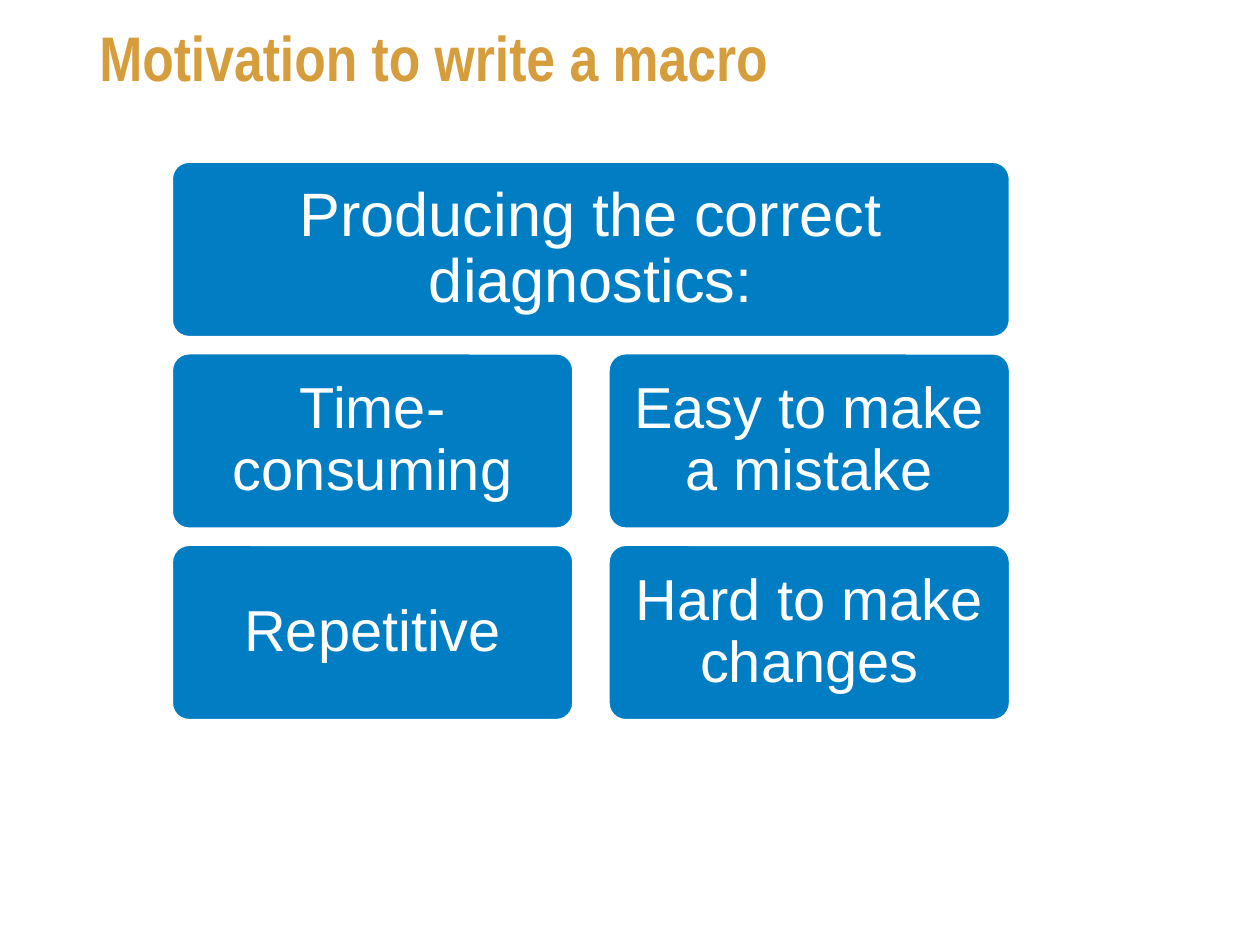
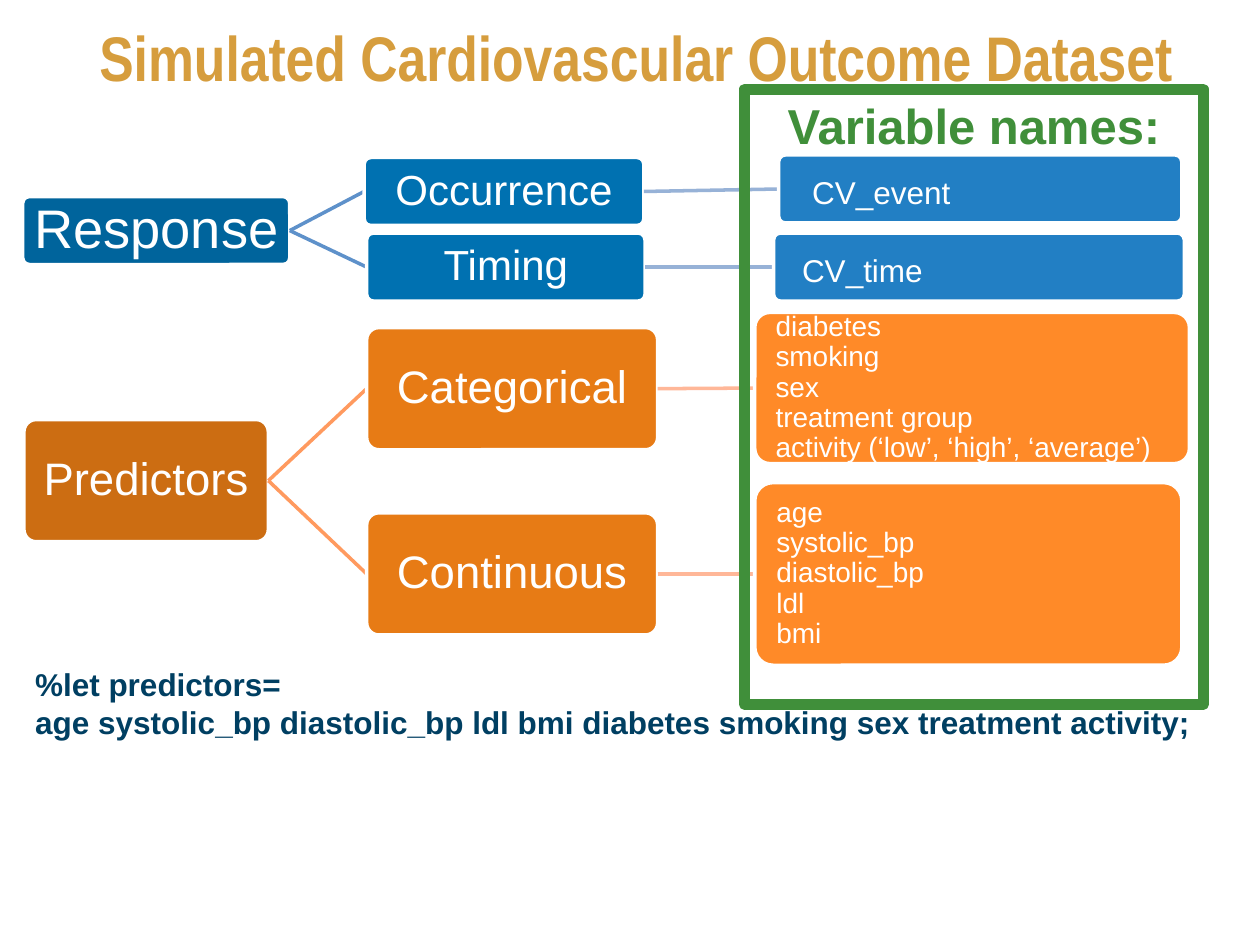
import pptx
import pptx.dml.color
import pptx.enum.shapes
import pptx.enum.text
import pptx.oxml.ns
import pptx.util
import lxml.etree

# Content: reasons as rows of a grid
HEADS = ["Motivation to write a macro", "Simulated Cardiovascular Outcome Dataset"]
ROWS = [
    ["Producing the correct diagnostics:"],
    ["Time-consuming", "Easy to make a mistake"],
    ["Repetitive", "Hard to make changes"],
]

# Content: trees of (level, place, lines, indent of left-aligned text, kids)
TREES = {
    "warm": ("root", (0.19, 3.33, 1.94, 0.97), ["Predictors"], None, [
        ("group", (2.91, 2.6, 2.31, 0.97), ["Categorical"], None, [
            ("list", (5.99, 2.48, 3.45, 1.2),
             ["diabetes", "smoking", "sex", "treatment group",
              "activity (‘low’, ‘high’, ‘average’)"], 0.13, [])]),
        ("group", (2.91, 4.07, 2.31, 0.97), ["Continuous"], None, [
            ("list", (5.99, 3.83, 3.39, 1.45),
             ["age", "systolic_bp", "diastolic_bp", "ldl", "bmi"], 0.13, [])]),
    ]),
    "cool": ("root", (0.18, 1.56, 2.12, 0.54), ["Response"], None, [
        ("group", (2.89, 1.25, 2.22, 0.54), ["Occurrence"], None, [
            ("list", (6.18, 1.23, 3.2, 0.54), ["CV_event"], 0.25, [])]),
        ("group", (2.91, 1.85, 2.21, 0.54), ["Timing"], None, [
            ("list", (6.14, 1.85, 3.26, 0.54), ["CV_time"], 0.21, [])]),
    ]),
}
LABEL = "Variable names:"
CODE = ["%let predictors=",
        "age systolic_bp diastolic_bp ldl bmi diabetes smoking sex treatment activity;"]

# Theme: level entries are (fill, type size, colour of the line to each kid)
THEME = {
    "font": "Arial", "white": "FFFFFF", "blue": "007DC3", "green": "408F3A",
    "head": {"font": "Arial Narrow", "size": 36, "color": "D69D3D", "bold": True},
    "code": {"size": 18, "color": "003F62", "bold": True},
    "label": {"size": 28, "color": "408F3A", "bold": True},
    "top": 35, "cell": 33, "line": 2, "frame": 6.5, "curve": 0.1,
    "warm": {"root": ("CC6D12", 26, "FF9A5F"), "group": ("E77B15", 26, "FFB798"),
             "list": ("FF8A28", 16, None)},
    "cool": {"root": ("00649C", 31, "5E91CA"), "group": ("0071B1", 24, "97B2D7"),
             "list": ("227FC4", 18, None)},
}

INCH = pptx.util.Inches
ALIGN = pptx.enum.text.PP_ALIGN
ANCHOR = pptx.enum.text.MSO_ANCHOR
SHAPE = pptx.enum.shapes.MSO_SHAPE


def tint(code):
    return pptx.dml.color.RGBColor.from_string(code)


def apply(part, vals):
    for name, val in vals.items():
        setattr(part, name, val)


def write(shape, lines, size, color, bold=False, font=THEME["font"], align=ALIGN.LEFT,
          anchor=ANCHOR.TOP, pad=(0.1, 0.05, 0.1, 0.05), lead=1.0):
    frame = shape.text_frame
    sides = ("margin_left", "margin_top", "margin_right", "margin_bottom")
    apply(frame, {"word_wrap": True, "vertical_anchor": anchor,
                  **{side: INCH(val) for side, val in zip(sides, pad)}})
    for i, line in enumerate(lines):
        para = frame.add_paragraph() if i else frame.paragraphs[0]
        apply(para, {"alignment": align, "line_spacing": lead})
        run = para.add_run()
        run.text = line
        apply(run.font, {"name": font, "size": pptx.util.Pt(size), "bold": bold})
        run.font.color.rgb = tint(color)


def text(slide, place, lines, **style):
    write(slide.shapes.add_textbox(*map(INCH, place)), lines, **style)


def block(slide, kind, place, fill, edge, width):
    shape = slide.shapes.add_shape(kind, *map(INCH, place))
    shape.shadow.inherit = False
    if fill:
        shape.fill.solid()
        shape.fill.fore_color.rgb = tint(fill)
    else:
        shape.fill.background()
    shape.line.color.rgb = tint(edge)
    shape.line.width = pptx.util.Pt(width)
    return shape


def card(slide, place, lines, fill, size, **style):
    shape = block(slide, SHAPE.ROUNDED_RECTANGLE, place, fill, THEME["white"], THEME["line"])
    shape.adjustments[0] = THEME["curve"]
    write(shape, lines, size, THEME["white"], anchor=ANCHOR.MIDDLE, lead=0.9, **style)


def link(slide, start, end, color):
    """Join the right middle of one card to the left middle of the next."""
    x, y, w, h = start
    ends = (x + w, y + h / 2, end[0], end[1] + end[3] / 2)
    line = slide.shapes.add_connector(pptx.enum.shapes.MSO_CONNECTOR.STRAIGHT,
                                      *map(INCH, ends))
    line.line.color.rgb = tint(color)
    line.line.width = pptx.util.Pt(THEME["line"])
    lxml.etree.SubElement(line._element.spPr, pptx.oxml.ns.qn("a:effectLst"))


def grow(slide, hue, node):
    level, place, lines, indent, kids = node
    fill, size, color = THEME[hue][level]
    if indent is None:
        style = {"align": ALIGN.CENTER, "pad": (0.03,) * 4}
    else:
        # A lone name sits slightly below the middle
        style = {"pad": (indent, 0.1 if len(lines) == 1 else 0.02, 0.02, 0.02)}
    card(slide, place, lines, fill, size, **style)
    for kid in kids:
        link(slide, place, kid[1], color)
        grow(slide, hue, kid)


def start(deck, head):
    slide = deck.slides.add_slide(deck.slide_layouts[6])
    text(slide, (0.69, 0.2, 8.97, 0.79), [head], lead=0.83, **THEME["head"])
    return slide


def reasons(deck):
    slide = start(deck, HEADS[0])
    left, top, full, high, gap, step = 1.36, 1.28, 6.66, 1.4, 0.27, 1.52
    for r, row in enumerate(ROWS):
        wide = (full - gap * (len(row) - 1)) / len(row)
        size = THEME["cell"] if r else THEME["top"]
        for c, name in enumerate(row):
            place = (left + c * (wide + gap), top + r * step, wide, high)
            card(slide, place, [name], THEME["blue"], size,
                 align=ALIGN.CENTER, pad=(0.1,) * 4)


def dataset(deck):
    slide = start(deck, HEADS[1])
    text(slide, (0.18, 5.23, 9.62, 1.04), CODE, **THEME["code"])
    for hue, tree in TREES.items():
        grow(slide, hue, tree)
    # Frame around the variable names
    frame = block(slide, SHAPE.RECTANGLE, (5.91, 0.71, 3.64, 4.88), None,
                  THEME["green"], THEME["frame"])
    write(frame, [LABEL], align=ALIGN.CENTER, **THEME["label"])


def main():
    deck = pptx.Presentation()
    apply(deck, {"slide_width": INCH(10), "slide_height": INCH(7.5)})
    reasons(deck)
    dataset(deck)
    deck.save("out.pptx")


if __name__ == "__main__":
    main()
